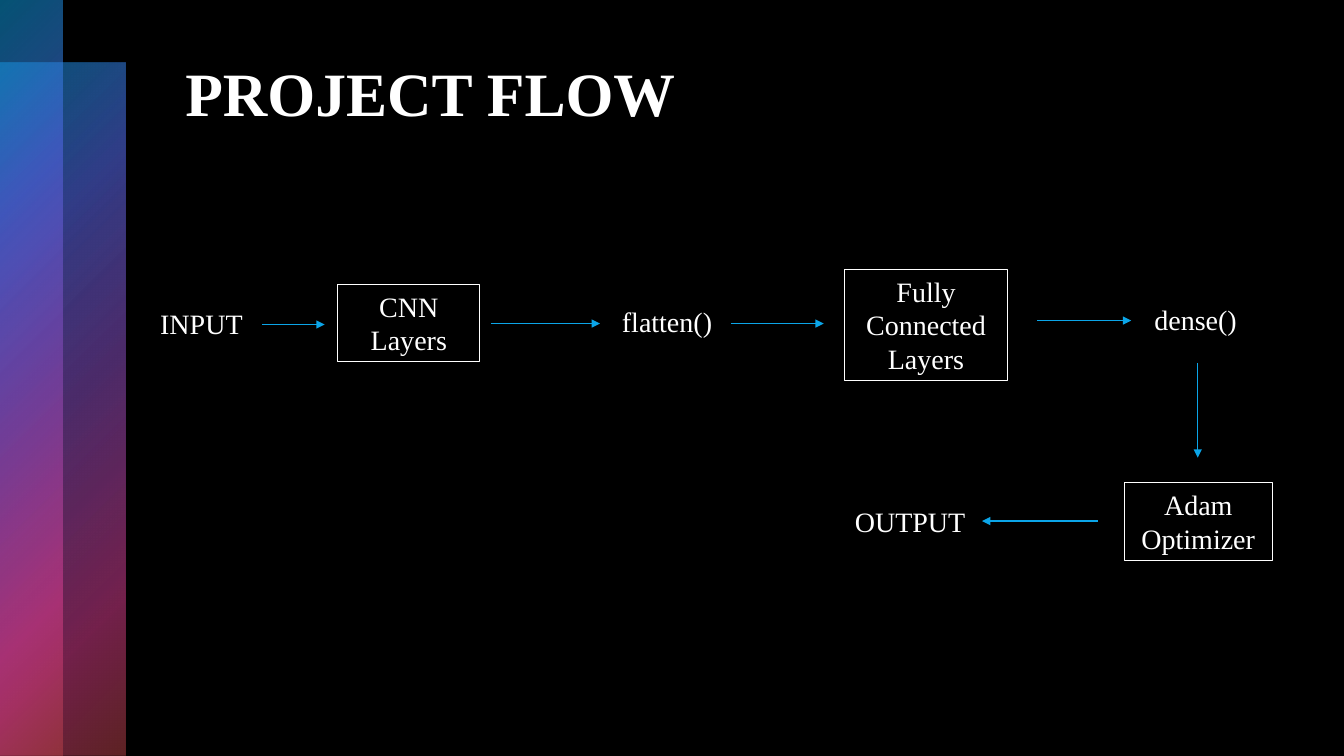
from dataclasses import dataclass

from lxml import etree
from pptx import Presentation
from pptx import util as u
from pptx.dml import color as c
from pptx.enum import shapes, text
from pptx.oxml import ns

BLACK = c.RGBColor(0x00, 0x00, 0x00)
WHITE = c.RGBColor(0xFF, 0xFF, 0xFF)
BLUE = c.RGBColor(0x0B, 0xA5, 0xE8)
INDIGO = c.RGBColor(0x50, 0x66, 0xE1)
PURPLE = c.RGBColor(0x89, 0x4E, 0xC0)
PINK = c.RGBColor(0xE5, 0x41, 0x96)
RED = c.RGBColor(0xBE, 0x44, 0x49)
FONT = "Times New Roman"


@dataclass
class Stop:
    position: int
    color: c.RGBColor
    opacity: int


@dataclass
class Box:
    left: float
    top: float
    width: float
    height: float

    def lengths(self) -> tuple:
        return tuple(u.Inches(v) for v in (self.left, self.top, self.width, self.height))


@dataclass
class Step:
    label: str
    box: Box
    framed: bool = False


@dataclass
class Arrow:
    x1: float
    y1: float
    x2: float
    y2: float
    weight: float = 1


STOPS = [
    Stop(0, BLUE, 50),
    Stop(25, INDIGO, 60),
    Stop(50, PURPLE, 55),
    Stop(81, PINK, 50),
    Stop(99, RED, 50),
]
BANDS = [Box(0, 0.62, 1.24, 6.88), Box(0, 0, 0.62, 7.5)]
STEPS = [
    Step("INPUT", Box(1.49, 2.99, 1.07, 0.44)),
    Step("CNN Layers", Box(3.35, 2.82, 1.41, 0.77), True),
    Step("flatten()", Box(6.07, 2.97, 1.13, 0.44)),
    Step("Fully Connected Layers", Box(8.38, 2.67, 1.61, 1.11), True),
    Step("dense()", Box(11.35, 2.95, 1.08, 0.44)),
    Step("Adam Optimizer", Box(11.15, 4.79, 1.47, 0.77), True),
    Step("OUTPUT", Box(8.38, 4.96, 1.34, 0.44)),
]
ARROWS = [
    Arrow(2.6, 3.22, 3.22, 3.22),
    Arrow(4.87, 3.21, 5.95, 3.21, 0.5),
    Arrow(7.25, 3.21, 8.17, 3.21),
    Arrow(10.29, 3.18, 11.22, 3.18),
    Arrow(11.88, 3.6, 11.88, 4.54),
    Arrow(10.89, 5.17, 9.74, 5.17),
]


def add_node(parent, tag: str, **attributes):
    return etree.SubElement(parent, ns.qn(tag), attributes)


def add_band(s, box: Box) -> None:
    sp = s.shapes.add_shape(shapes.MSO_SHAPE.RECTANGLE, *box.lengths())
    sp.shadow.inherit = False
    sp.line.fill.background()
    sp.fill.background()
    grad = etree.Element(ns.qn("a:gradFill"), rotWithShape="1")
    stop_list = add_node(grad, "a:gsLst")
    for stop in STOPS:
        gs = add_node(stop_list, "a:gs", pos=str(stop.position * 1000))
        rgb = add_node(gs, "a:srgbClr", val=str(stop.color))
        add_node(rgb, "a:alpha", val=str(stop.opacity * 1000))
    focus = add_node(grad, "a:path", path="circle")
    add_node(focus, "a:fillToRect", r="100000", b="100000")
    properties = sp.element.spPr
    properties.replace(properties.find(ns.qn("a:noFill")), grad)


def write(sp, label: str, size: int, bold: bool = False) -> None:
    tf = sp.text_frame
    tf.word_wrap = True
    p = tf.paragraphs[0]
    r = p.add_run()
    r.text = label
    r.font.name = FONT
    r.font.size = u.Pt(size)
    r.font.bold = bold
    r.font.color.rgb = WHITE


def add_step(s, step: Step) -> None:
    if step.framed:
        sp = s.shapes.add_shape(shapes.MSO_SHAPE.RECTANGLE, *step.box.lengths())
        sp.shadow.inherit = False
        sp.fill.background()
        sp.line.color.rgb = WHITE
        sp.line.width = u.Pt(0.75)
        sp.text_frame.paragraphs[0].alignment = text.PP_ALIGN.CENTER
    else:
        sp = s.shapes.add_textbox(*step.box.lengths())
    write(sp, step.label, 20)
    sp.text_frame.vertical_anchor = text.MSO_ANCHOR.TOP
    sp.text_frame.auto_size = text.MSO_AUTO_SIZE.SHAPE_TO_FIT_TEXT


def add_arrow(s, arrow: Arrow) -> None:
    ends = (u.Inches(v) for v in (arrow.x1, arrow.y1, arrow.x2, arrow.y2))
    sp = s.shapes.add_connector(shapes.MSO_CONNECTOR.STRAIGHT, *ends)
    sp.line.color.rgb = BLUE
    sp.line.width = u.Pt(arrow.weight)
    add_node(sp.line.fill._xPr, "a:tailEnd", type="triangle")
    add_node(sp.element.spPr, "a:effectLst")


def main() -> None:
    prs = Presentation()
    prs.slide_width = u.Inches(13.33)
    prs.slide_height = u.Inches(7.5)
    s = prs.slides.add_slide(prs.slide_layouts[6])
    s.background.fill.solid()
    s.background.fill.fore_color.rgb = BLACK
    for band in BANDS:
        add_band(s, band)
    title = s.shapes.add_textbox(*Box(1.74, 0.5, 10.37, 1.7).lengths())
    write(title, "PROJECT FLOW", 44, True)
    for step in STEPS:
        add_step(s, step)
    for arrow in ARROWS:
        add_arrow(s, arrow)
    prs.save("out.pptx")


if __name__ == "__main__":
    main()
